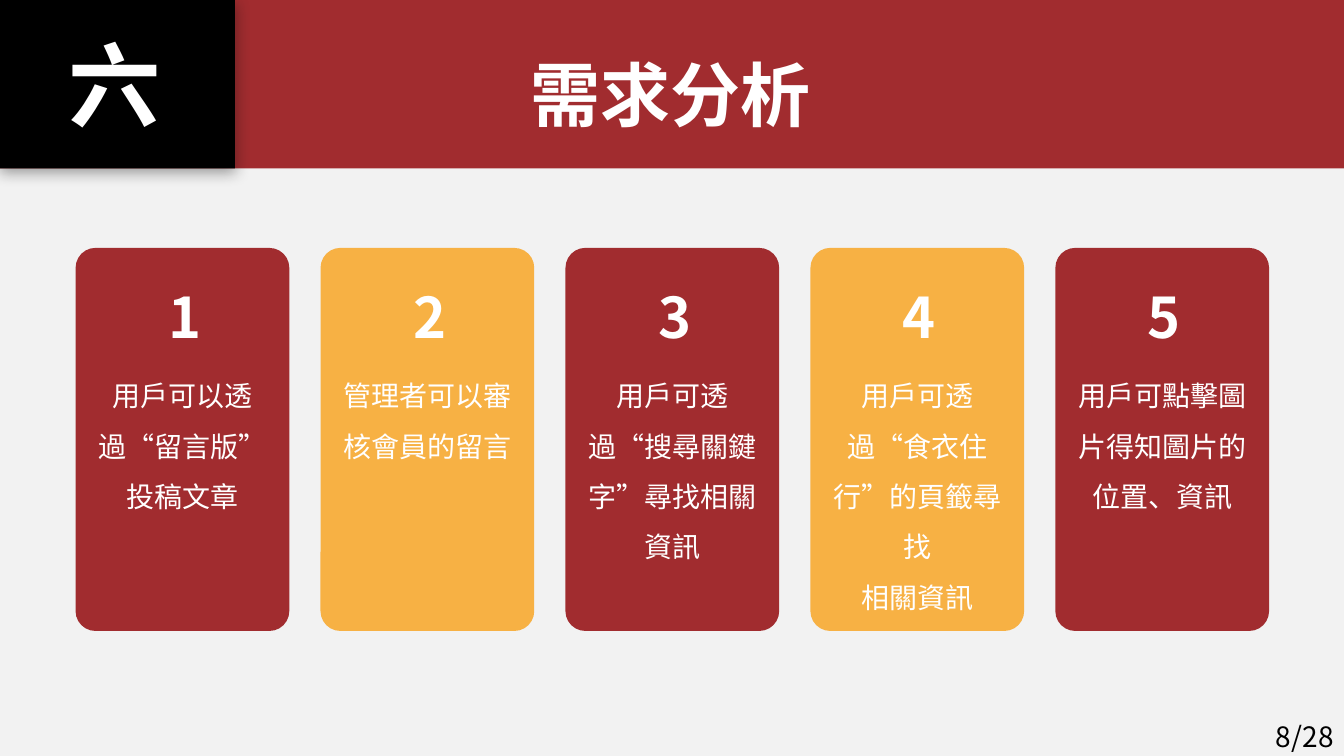
from lxml import etree
from pptx import Presentation
from pptx.dml.color import RGBColor
from pptx.enum.shapes import MSO_SHAPE
from pptx.enum.text import MSO_ANCHOR, MSO_AUTO_SIZE, PP_ALIGN
from pptx.oxml.ns import qn
from pptx.util import Emu, Pt

PX = 9144  # 100 px to the inch
RECTANGLE, ROUNDED = MSO_SHAPE.RECTANGLE, MSO_SHAPE.ROUNDED_RECTANGLE
TOP, MIDDLE = MSO_ANCHOR.TOP, MSO_ANCHOR.MIDDLE
LEFT, CENTER, RIGHT = PP_ALIGN.LEFT, PP_ALIGN.CENTER, PP_ALIGN.RIGHT
GROW, FIXED = MSO_AUTO_SIZE.SHAPE_TO_FIT_TEXT, MSO_AUTO_SIZE.NONE

RED = RGBColor(0xA1, 0x2C, 0x2F)
AMBER = RGBColor(0xF7, 0xB1, 0x44)
PALE = RGBColor(0xF2, 0xF2, 0xF2)
WHITE = RGBColor(0xFF, 0xFF, 0xFF)
BLACK = RGBColor(0, 0, 0)

REQUIREMENTS = [
    "用戶可以透過“留言版”\n投稿文章",
    "管理者可以審核會員的留言",
    "用戶可透過“搜尋關鍵字”尋找相關資訊",
    "用戶可透過“食衣住行”的頁籤尋找\n相關資訊",
    "用戶可點擊圖片得知圖片的位置、資訊",
]


class SlideBuilder:
    font_name = "Noto Sans CJK SC"

    def __init__(self, slide):
        self.slide = slide

    def background(self, color):
        fill = self.slide.background.fill
        fill.solid()
        fill.fore_color.rgb = color

    def box(self, kind, left, top, width, height, color):
        shape = self.slide.shapes.add_shape(
            kind, *(Emu(n * PX) for n in (left, top, width, height)))
        shape.shadow.inherit = False
        shape.fill.solid()
        shape.fill.fore_color.rgb = color
        shape.line.fill.background()
        return shape

    def drop_shadow(self, shape):
        effects = shape.element.spPr.find(qn("a:effectLst"))
        shadow = etree.SubElement(
            effects, qn("a:outerShdw"), blurRad=str(Pt(11)), dist=str(Pt(3)),
            dir="5400000", algn="t", rotWithShape="0")
        color = etree.SubElement(shadow, qn("a:srgbClr"), val="0D0D0D")
        etree.SubElement(color, qn("a:alpha"), val="40000")

    def text(self, text, left, top, width, height, size, color=WHITE, bold=False,
             align=LEFT, anchor=TOP, spacing=None, wrap=True, auto_size=GROW):
        shape = self.slide.shapes.add_textbox(
            *(Emu(n * PX) for n in (left, top, width, height)))
        frame = shape.text_frame
        frame.text = text
        frame.word_wrap = wrap
        frame.auto_size = auto_size
        frame.vertical_anchor = anchor
        for paragraph in frame.paragraphs:
            paragraph.alignment = align
            paragraph.line_spacing = spacing
            for run in paragraph.runs:
                run.font.size = Pt(size)
                run.font.bold = bold
                run.font.color.rgb = color
                run.font.name = self.font_name
                etree.SubElement(run.font._element, qn("a:ea"), typeface=self.font_name)


def main():
    presentation = Presentation()
    presentation.slide_width = Emu(12192000)
    presentation.slide_height = Emu(6858000)
    builder = SlideBuilder(presentation.slides.add_slide(presentation.slide_layouts[6]))
    builder.background(PALE)

    # Page number
    builder.text("8/28", 1033, 710, 300, 40, 20, BLACK,
                 align=RIGHT, anchor=MIDDLE, auto_size=FIXED)

    # Header band and title
    builder.box(RECTANGLE, 0, 0, 1334, 167, RED)
    builder.text("需求分析", 516, 46, 301, 94, 50, bold=True, wrap=False)

    # Requirement cards
    for index, requirement in enumerate(REQUIREMENTS):
        left = 75 + index * 243
        card = builder.box(ROUNDED, left, 246, 212, 380, (RED, AMBER)[index % 2])
        card.adjustments[0] = 0.093
        builder.text(str(index + 1), left + 82, 275, 48, 77, 40, bold=True)
        builder.text(requirement, left + 1, 354, 211, 155, 20, align=CENTER, spacing=1.5)

    # Section number
    section = builder.box(RECTANGLE, 0, 0, 233, 167, BLACK)
    builder.drop_shadow(section)
    builder.text("六", 58, 23, 116, 121, 66, bold=True)

    presentation.save("out.pptx")


if __name__ == "__main__":
    main()
